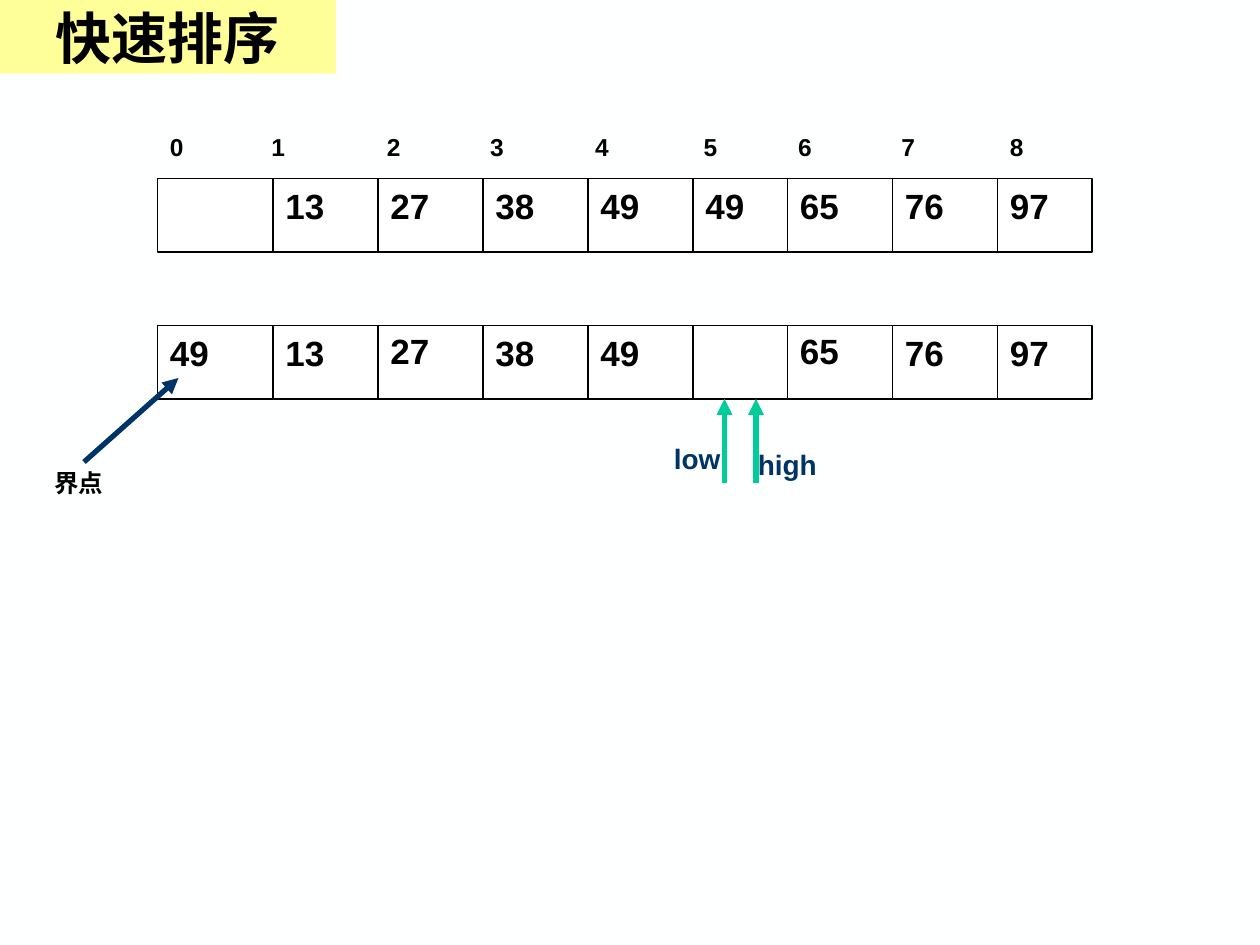
from lxml import etree
from pptx import Presentation
from pptx import util as u
from pptx.dml.color import RGBColor
from pptx.enum import shapes, text
from pptx.oxml.ns import qn

Pt = u.Pt
HUES = {"paper": "FEFFFF", "white": "FFFFFF", "ink": "000000",
        "navy": "003366", "green": "00CC99", "yellow": "FFFF99"}
EDGES = [90, 156, 216, 276, 336, 396, 450, 510, 570, 624]
TABS = [58, 124, 183, 243, 305, 359, 418, 480]
TALL = 42


def rgb(name):
    return RGBColor.from_string(HUES[name])


class Board:
    def __init__(self, deck, font="Arial"):
        self.font = font
        self.slide = deck.slides.add_slide(deck.slide_layouts[5])
        fill = self.slide.background.fill
        fill.solid()
        fill.fore_color.rgb = rgb("paper")

    def style(self, para, size, hue="ink", font=None):
        for run in para.runs:
            run.font.size = Pt(size)
            run.font.bold = True
            run.font.name = font or self.font
            run.font.color.rgb = rgb(hue)

    def title(self, words, wide, high):
        box = self.slide.shapes.title
        box.left, box.top, box.width, box.height = 0, 0, Pt(wide), Pt(high)
        box.fill.solid()
        box.fill.fore_color.rgb = rgb("yellow")
        frame = box.text_frame
        frame.text = words
        frame.auto_size = text.MSO_AUTO_SIZE.NONE
        frame.vertical_anchor = text.MSO_ANCHOR.MIDDLE
        para = frame.paragraphs[0]
        para.alignment = text.PP_ALIGN.CENTER
        self.style(para, 32, font="Times New Roman")

    def label(self, words, x, y, wide, high, size, hue="ink", tabs=()):
        box = self.slide.shapes.add_textbox(Pt(x), Pt(y), Pt(wide), Pt(high))
        frame = box.text_frame
        frame.word_wrap = True
        frame.text = words
        para = frame.paragraphs[0]
        if tabs:
            stops = etree.SubElement(para._p.get_or_add_pPr(), qn("a:tabLst"))
            for pos in tabs:
                etree.SubElement(stops, qn("a:tab"), pos=str(Pt(pos)), algn="l")
        self.style(para, size, hue)

    def line(self, x1, y1, x2, y2, hue="ink", thick=0.75, head=False):
        link = self.slide.shapes.add_connector(
            shapes.MSO_CONNECTOR.STRAIGHT, Pt(x1), Pt(y1), Pt(x2), Pt(y2))
        link.line.color.rgb = rgb(hue)
        link.line.width = Pt(thick)
        if head:
            etree.SubElement(link.line._get_or_add_ln(), qn("a:tailEnd"),
                             type="triangle")
        etree.SubElement(link._element.spPr, qn("a:effectLst"))

    def row(self, y, values, raised=()):
        frame = self.slide.shapes.add_shape(
            shapes.MSO_SHAPE.RECTANGLE, Pt(EDGES[0]), Pt(y),
            Pt(EDGES[-1] - EDGES[0]), Pt(TALL))
        frame.shadow.inherit = False
        frame.fill.solid()
        frame.fill.fore_color.rgb = rgb("white")
        frame.line.color.rgb = rgb("ink")
        frame.line.width = Pt(0.75)
        for x in EDGES[1:-1]:
            self.line(x, y, x, y + TALL)
        for spot, value in enumerate(values):
            if value:
                top = y - 1 if spot in raised else y
                self.label(value, EDGES[spot], top, 48, 31.5, 20)


def main():
    deck = Presentation()
    deck.slide_width, deck.slide_height = Pt(720), Pt(540)
    board = Board(deck)
    board.title("快速排序", 192, 42)

    # Array before and after the pivot moves to slot 0
    board.label("\t".join(map(str, range(9))), 90, 72, 534, 24.5, 14, tabs=TABS)
    board.row(102, ["", "13", "27", "38", "49", "49", "65", "76", "97"])
    board.row(186, ["49", "13", "27", "38", "49", "", "65", "76", "97"],
              raised=(2, 6))

    # Low and high pointers
    for name, tip, x, y in (("high", 432, 426, 252), ("low", 414, 378, 249)):
        board.line(tip, 276, tip, 228, "green", 3, head=True)
        board.label(name, x, y, 66, 26.5, 16, "navy")

    # Pivot marker
    board.label("界点", 24, 264, 60, 24.5, 14)
    board.line(48, 264, 102, 216, "navy", 3, head=True)

    deck.save("out.pptx")


if __name__ == "__main__":
    main()
